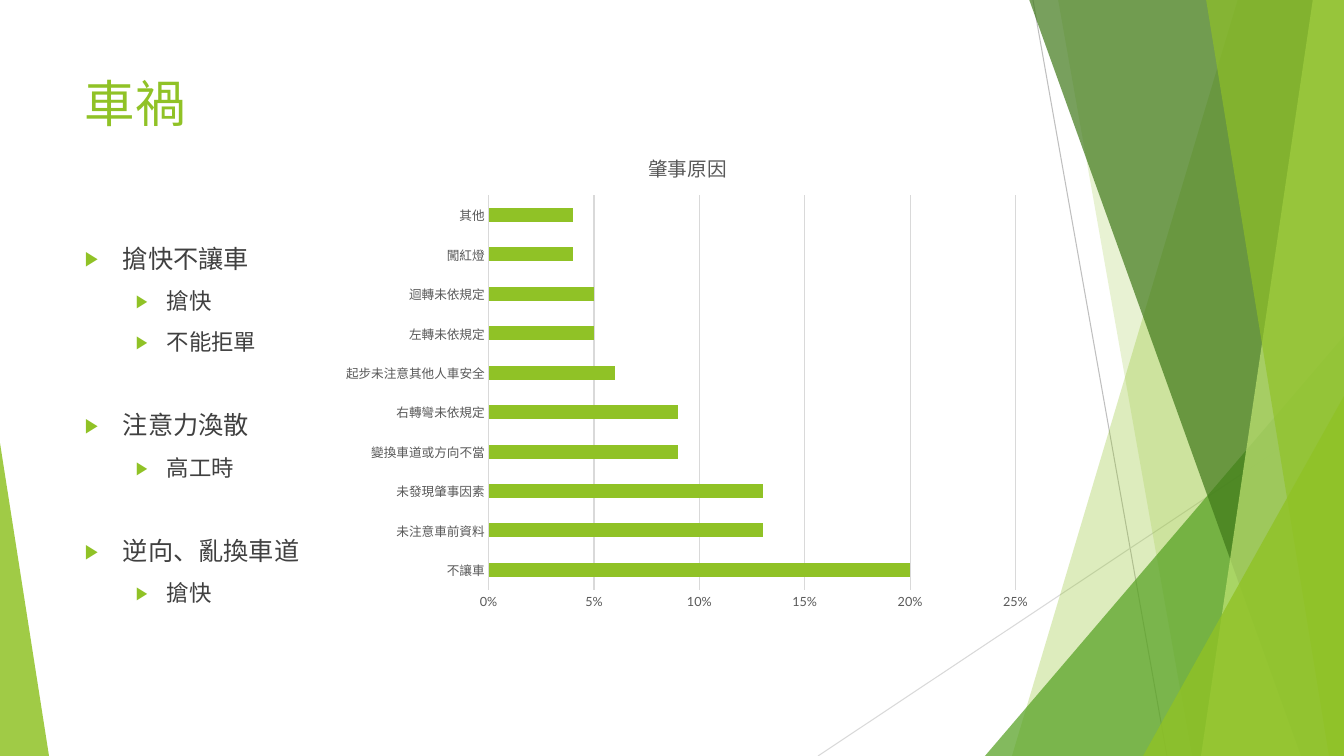
"""Build the traffic accident slide: bullets, a bar chart of causes and green facets."""
from typing import NamedTuple

from lxml import etree
from pptx import Presentation
from pptx import util as u
from pptx.chart import data as chart_data
from pptx.dml import color
from pptx.enum import chart as chart_enum
from pptx.enum import shapes, text
from pptx.oxml import ns

PIXEL = 914400 / 100.8
FONT = "Lato"
GREEN, DARK, GREY, PALE = "90C226", "404040", "595959", "D9D9D9"


class Line(NamedTuple):
    start: tuple[int, int]
    end: tuple[int, int]
    colour: str


class Facet(NamedTuple):
    points: list[tuple[int, int]]
    colour: str
    opacity: int


class Triangle(NamedTuple):
    box: tuple[int, int, int, int]
    apex: float
    colour: str
    opacity: int


class Bullet(NamedTuple):
    words: str
    level: int = 1


class Level(NamedTuple):
    size: int
    margin: int
    hanging: int


LINES = [
    Line((1033, 0), (1167, 756), "BFBFBF"),
    Line((1344, 406), (818, 756), PALE),
]


def facet(top_left: int, bottom_left: int, colour: str, opacity: int) -> Facet:
    points = [(top_left, -1), (1344, -1), (1344, 756), (bottom_left, 756)]
    return Facet(points, colour, opacity)


FACETS = [
    facet(1238, 1012, GREEN, 30),
    facet(1058, 1192, GREEN, 20),
    Triangle((985, 336, 359, 420), 1, "54A021", 72),
    facet(1029, 1301, "3F7819", 70),
    facet(1313, 1201, "C0E474", 70),
    facet(1206, 1329, GREEN, 65),
    Triangle((1143, 396, 201, 360), 1, GREEN, 80),
    Triangle((0, 443, 49, 313), 0, GREEN, 85),
]
LEVELS = [Level(18, 38, 38), Level(16, 82, 31)]
BULLETS = [
    Bullet("搶快不讓車", 0), Bullet("搶快"), Bullet("不能拒單"),
    Bullet("注意力渙散", 0), Bullet("高工時"),
    Bullet("逆向、亂換車道", 0), Bullet("搶快"),
]
CAUSES = {
    "不讓車": 0.20, "未注意車前資料": 0.13, "未發現肇事因素": 0.13,
    "變換車道或方向不當": 0.09, "右轉彎未依規定": 0.09,
    "起步未注意其他人車安全": 0.06, "左轉未依規定": 0.05,
    "迴轉未依規定": 0.05, "闖紅燈": 0.04, "其他": 0.04,
}


def px(*values: int) -> list[u.Emu]:
    return [u.Emu(round(value * PIXEL)) for value in values]


def rgb(value: str) -> color.RGBColor:
    return color.RGBColor.from_string(value)


def add(parent, tag: str, **attributes: str):
    return etree.SubElement(parent, ns.qn(tag), attributes)


def style_font(font, size: int, colour: str) -> None:
    font.name, font.size, font.bold = FONT, u.Pt(size), False
    font.color.rgb = rgb(colour)


def style_line(line, colour: str) -> None:
    line.color.rgb, line.width = rgb(colour), u.Pt(0.75)


def add_run(paragraph, words: str, size: int, colour: str) -> None:
    run = paragraph.add_run()
    run.text = words
    style_font(run.font, size, colour)


def draw_line(slide, line: Line) -> None:
    connector = slide.shapes.add_connector(
        shapes.MSO_CONNECTOR.STRAIGHT, *px(*line.start, *line.end))
    style_line(connector.line, line.colour)
    add(connector._element.spPr, "a:effectLst")


def draw_facet(slide, item: Facet | Triangle) -> None:
    if isinstance(item, Triangle):
        shape = slide.shapes.add_shape(
            shapes.MSO_SHAPE.ISOSCELES_TRIANGLE, *px(*item.box))
        shape.adjustments[0] = item.apex
    else:
        builder = slide.shapes.build_freeform(*item.points[0], scale=PIXEL)
        builder.add_line_segments(item.points[1:], close=True)
        shape = builder.convert_to_shape()
    shape.shadow.inherit = False
    shape.fill.solid()
    shape.fill.fore_color.rgb = rgb(item.colour)
    solid = shape._element.spPr.find(".//" + ns.qn("a:srgbClr"))
    add(solid, "a:alpha", val=str(item.opacity * 1000))
    shape.line.fill.background()


def add_text_frame(slide, box: tuple[int, int, int, int]):
    frame = slide.shapes.add_textbox(*px(*box)).text_frame
    frame.word_wrap = True
    frame.vertical_anchor = text.MSO_ANCHOR.TOP
    return frame


def draw_bullets(slide, bullets: list[Bullet]) -> None:
    frame = add_text_frame(slide, (75, 238, 948, 427))
    for index, bullet in enumerate(bullets):
        paragraph = frame.add_paragraph() if index else frame.paragraphs[0]
        level = LEVELS[bullet.level]
        starts_group = index > 0 and bullet.level == 0
        paragraph.level = bullet.level
        paragraph.space_before = u.Pt(39 if starts_group else 10)
        properties = paragraph._p.get_or_add_pPr()
        margin, hanging = px(level.margin, level.hanging)
        properties.set("marL", str(margin))
        properties.set("indent", str(-hanging))
        add(add(properties, "a:buClr"), "a:srgbClr", val=GREEN)
        add(properties, "a:buSzPct", val="80000")
        add(properties, "a:buFont", typeface=FONT)
        add(properties, "a:buChar", char="▶")
        add_run(paragraph, bullet.words, level.size, DARK)


def place_plot(chart, **fractions: float) -> None:
    area = chart._chartSpace.chart.plotArea
    for old in area.findall(ns.qn("c:layout")):
        area.remove(old)
    layout = etree.Element(ns.qn("c:layout"))
    area.insert(0, layout)
    manual = add(layout, "c:manualLayout")
    add(manual, "c:layoutTarget", val="inner")
    for name in ("xMode", "yMode"):
        add(manual, f"c:{name}", val="edge")
    for name, fraction in fractions.items():
        add(manual, f"c:{name}", val=str(fraction))


def draw_chart(slide, causes: dict[str, float]) -> None:
    data = chart_data.CategoryChartData(number_format="0%")
    data.categories = list(causes)
    data.add_series("Series 1", list(causes.values()))
    chart = slide.shapes.add_chart(
        chart_enum.XL_CHART_TYPE.BAR_CLUSTERED, *px(332, 132, 712, 487), data).chart
    style_font(chart.font, 10, "000000")
    chart.has_legend = False
    chart.has_title = True
    add_run(chart.chart_title.text_frame.paragraphs[0], "肇事原因", 14, GREY)
    plot = chart.plots[0]
    plot.gap_width, plot.vary_by_categories = 182, False
    fill = plot.series[0].format.fill
    fill.solid()
    fill.fore_color.rgb = rgb(GREEN)
    for axis in (chart.category_axis, chart.value_axis):
        axis.major_tick_mark = axis.minor_tick_mark = chart_enum.XL_TICK_MARK.NONE
        style_font(axis.tick_labels.font, 9, GREY)
    style_line(chart.category_axis.format.line, PALE)
    values = chart.value_axis
    values.minimum_scale, values.maximum_scale, values.major_unit = 0, 0.25, 0.05
    values.tick_labels.number_format = "0%"
    values.tick_labels.number_format_is_linked = False
    values.format.line.fill.background()
    style_line(values.major_gridlines.format.line, PALE)
    place_plot(chart, x=0.22, y=0.13, w=0.74, h=0.81)


def main() -> None:
    presentation = Presentation()
    presentation.slide_width, presentation.slide_height = px(1344, 756)
    slide = presentation.slides.add_slide(presentation.slide_layouts[6])
    for line in LINES:
        draw_line(slide, line)
    for item in FACETS:
        draw_facet(slide, item)
    title = add_text_frame(slide, (75, 67, 948, 145))
    add_run(title.paragraphs[0], "車禍", 36, GREEN)
    draw_bullets(slide, BULLETS)
    draw_chart(slide, CAUSES)
    presentation.save("out.pptx")


main()
